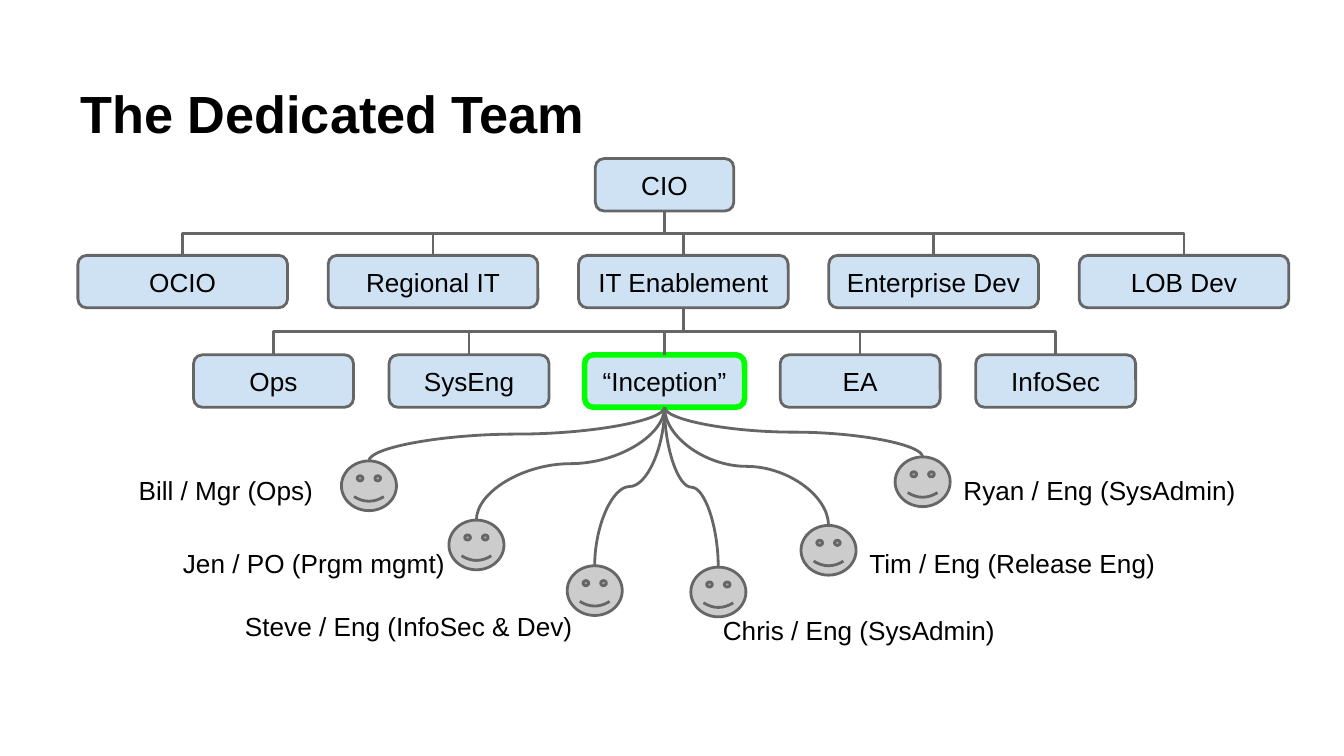
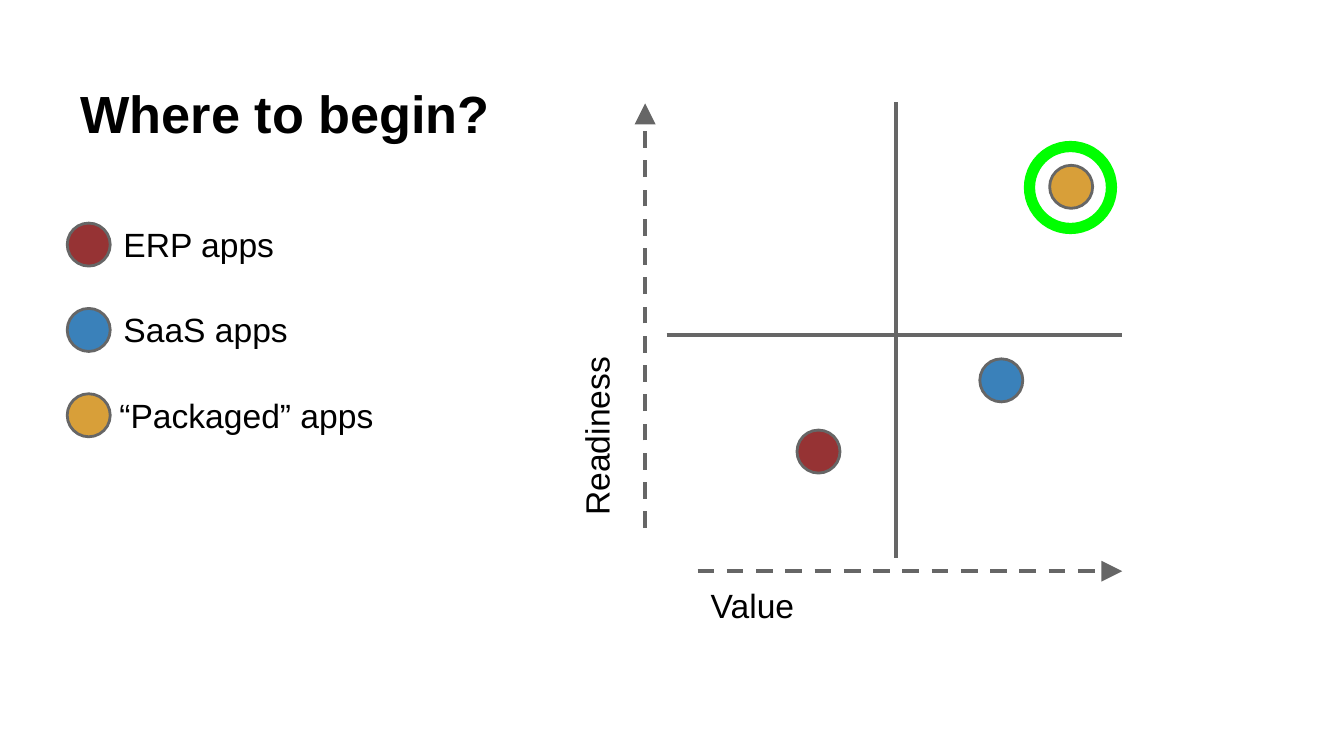
from pptx import Presentation
from pptx.dml.color import RGBColor
from pptx.enum.dml import MSO_LINE
from pptx.enum.shapes import MSO_CONNECTOR, MSO_SHAPE, MSO_SHAPE_TYPE
from pptx.enum.text import MSO_ANCHOR, MSO_AUTO_SIZE, PP_ALIGN
from pptx.oxml.ns import qn
from pptx.util import Inches, Pt
from lxml.etree import SubElement

GREY, GREEN, BLACK = "666666", "00FF00", "000000"
PALE, SKIN = "CFE2F3", "CCCCCC"
RED, BLUE, GOLD = "963334", "3A81BA", "D89F39"
LEFT, MID, RIGHT = PP_ALIGN.LEFT, PP_ALIGN.CENTER, PP_ALIGN.RIGHT


def tint(fill, code):
    fill.solid()
    fill.fore_color.rgb = RGBColor.from_string(code)


def say(shape, text, size, align=LEFT, anchor=MSO_ANCHOR.TOP, bold=False):
    frame = shape.text_frame
    frame.word_wrap = True
    frame.auto_size = MSO_AUTO_SIZE.NONE
    frame.vertical_anchor = anchor
    frame.margin_left = frame.margin_right = Inches(0.1)
    frame.margin_top = frame.margin_bottom = Inches(0.1)
    para = frame.paragraphs[0]
    para.alignment = align
    run = para.add_run()
    run.text = text
    run.font.name = "Arial"
    run.font.size = Pt(size)
    run.font.bold = bold
    tint(run.font.fill, BLACK)


deck = Presentation()
deck.slide_width = Inches(10)
deck.slide_height = deck.slide_width * 9 // 16
slides = []
for text in ["The Dedicated Team", "Where to begin?"]:
    slide = deck.slides.add_slide(deck.slide_layouts[5])
    title = slide.shapes.title
    title.left, title.top = Inches(0.5), Inches(0.23)
    title.width, title.height = Inches(9), Inches(0.94)
    say(title, text, 28, anchor=MSO_ANCHOR.BOTTOM, bold=True)
    slides.append(slide)
team, start = [slide.shapes for slide in slides]

rows = [
    (4.43, 1.18, 1.03, 0, ["CIO"]),
    (0.58, 1.9, 1.56, 7.45 / 4,
     ["OCIO", "Regional IT", "IT Enablement", "Enterprise Dev", "LOB Dev"]),
    (1.44, 2.64, 1.19, 5.82 / 4,
     ["Ops", "SysEng", "“Inception”", "EA", "InfoSec"]),
]
boxes = {}
links = []
boss = None
for left, top, width, step, names in rows:
    for i, name in enumerate(names):
        box = team.add_shape(MSO_SHAPE.ROUNDED_RECTANGLE, Inches(left + i * step),
                             Inches(top), Inches(width), Inches(0.39))
        tint(box.fill, PALE)
        say(box, name, 14, MID, MSO_ANCHOR.MIDDLE)
        boxes[name] = box
        if boss:
            links.append((MSO_CONNECTOR.ELBOW, box, boss))
    boss = boxes[names[len(names) // 2]]

people = [
    (2.54, 3.43, "Bill / Mgr (Ops)", 0.26, 3.43, 2.17, RIGHT),
    (3.34, 3.87, "Jen / PO (Prgm mgmt)", 0.81, 3.97, 2.6, RIGHT),
    (4.22, 4.21, "Steve / Eng (InfoSec & Dev)", 1.6, 4.44, 2.76, RIGHT),
    (5.14, 4.22, "Chris / Eng (SysAdmin)", 5.28, 4.47, 2.76, LEFT),
    (5.96, 3.91, "Tim / Eng (Release Eng)", 6.37, 3.97, 2.76, LEFT),
    (6.66, 3.4, "Ryan / Eng (SysAdmin)", 7.07, 3.43, 2.76, LEFT),
]
for x, y, name, left, top, width, align in people:
    face = team.add_shape(MSO_SHAPE.SMILEY_FACE, Inches(x), Inches(y),
                          Inches(0.41), Inches(0.37))
    tint(face.fill, SKIN)
    links.append((MSO_CONNECTOR.CURVE, face, boss))
    label = team.add_textbox(Inches(left), Inches(top), Inches(width), Inches(0.5))
    say(label, name, 14, align)

for kind, low, high in links:
    x1, y1 = low.left + low.width // 2, low.top
    x2, y2 = high.left + high.width // 2, high.top + high.height
    link = team.add_connector(kind, x1, y1, x2, y2)
    link.begin_connect(low, 0)
    link.end_connect(high, 2)
    link.width, link.height = y1 - y2, abs(x2 - x1)
    link.left = (x1 + x2 - link.width) // 2
    link.top = (y1 + y2 - link.height) // 2
    turn = link.element.spPr.find(qn("a:xfrm"))
    turn.set("rot", str((90 if x2 < x1 else 270) * 60000))
    turn.set("flipH", "1" if x2 < x1 else "0")
    turn.set("flipV", "0")

axes = [
    (6.67, 0.76, 6.67, 4.15, False),
    (4.96, 2.49, 8.35, 2.49, False),
    (5.19, 4.25, 8.35, 4.25, True),
    (4.8, 3.93, 4.8, 0.77, True),
]
for x1, y1, x2, y2, arrow in axes:
    axis = start.add_connector(MSO_CONNECTOR.STRAIGHT, Inches(x1), Inches(y1),
                               Inches(x2), Inches(y2))
    if arrow:
        axis.line.dash_style = MSO_LINE.DASH
        SubElement(axis.element.spPr.find(qn("a:ln")), qn("a:tailEnd"),
                   type="triangle", w="lg", len="lg")

for name, left, top, width, angle in [("Value", 5.19, 4.25, 1.24, 0),
                                      ("Readiness", 3.68, 2.82, 1.62, 270)]:
    label = start.add_textbox(Inches(left), Inches(top), Inches(width), Inches(0.61))
    label.rotation = angle
    say(label, name, 18)

apps = [
    ("ERP apps", RED, 0.82, 5.93, 3.2),
    ("SaaS apps", BLUE, 0.82, 7.29, 2.67),
    ("“Packaged” apps", GOLD, 0.79, 7.81, 1.23),
]
for i, (name, code, left, x, y) in enumerate(apps):
    top = 1.66 + i * 1.27 / 2
    for px, py in [(0.5, top), (x, y)]:
        dot = start.add_shape(MSO_SHAPE.OVAL, Inches(px), Inches(py),
                              Inches(0.32), Inches(0.32))
        tint(dot.fill, code)
    label = start.add_textbox(Inches(left), Inches(top - 0.15), Inches(2.15), Inches(0.61))
    say(label, name, 18, anchor=MSO_ANCHOR.MIDDLE)

ring = start.add_shape(MSO_SHAPE.OVAL, Inches(7.66), Inches(1.09), Inches(0.61), Inches(0.61))
ring.fill.background()

for shapes, thick in [(team, 1.5), (start, 2.25)]:
    for shape in shapes:
        if shape.shape_type == MSO_SHAPE_TYPE.LINE:
            tint(shape.line.fill, GREY)
            shape.line.width = Pt(thick)
            SubElement(shape.element.spPr, qn("a:effectLst"))
        elif shape.shape_type == MSO_SHAPE_TYPE.AUTO_SHAPE:
            tint(shape.line.fill, GREY)
            shape.line.width = Pt(1.5)
            shape.shadow.inherit = False

for mark, thick in [(boss, 3), (ring, 6)]:
    tint(mark.line.fill, GREEN)
    mark.line.width = Pt(thick)

deck.save("out.pptx")
